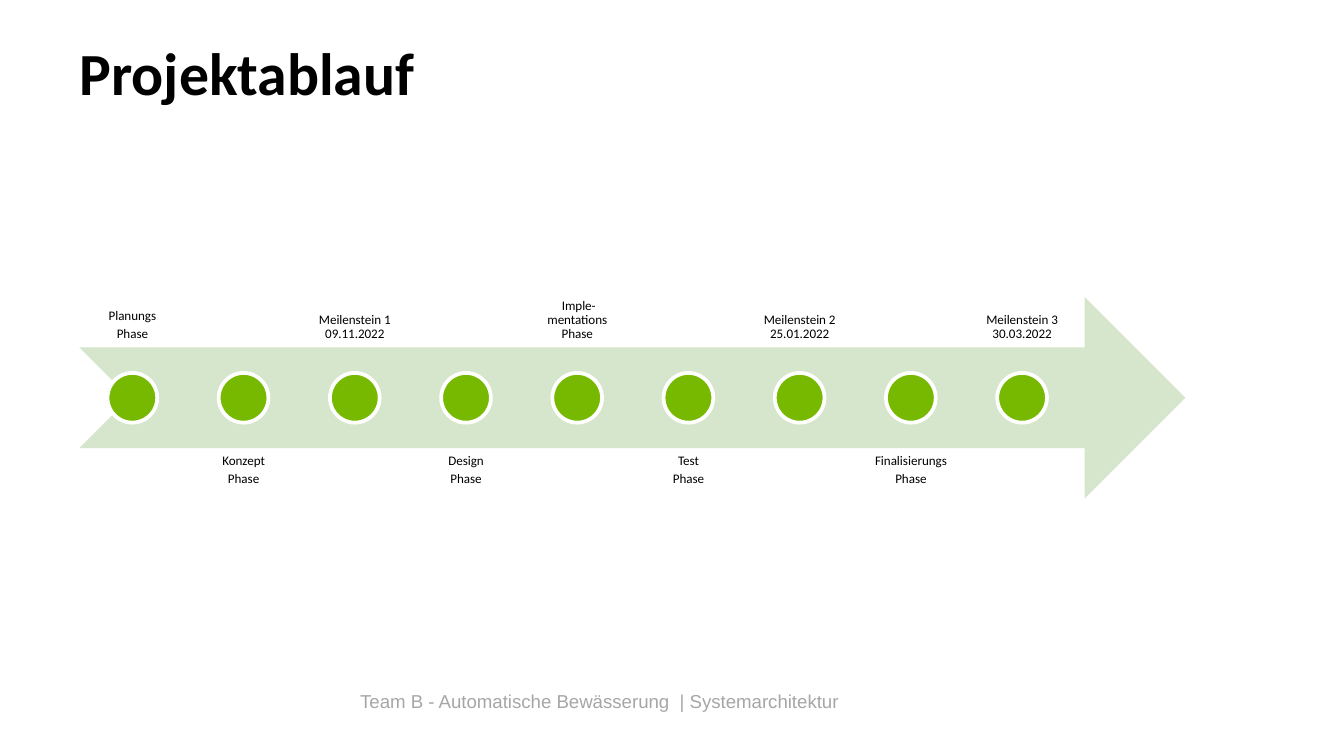
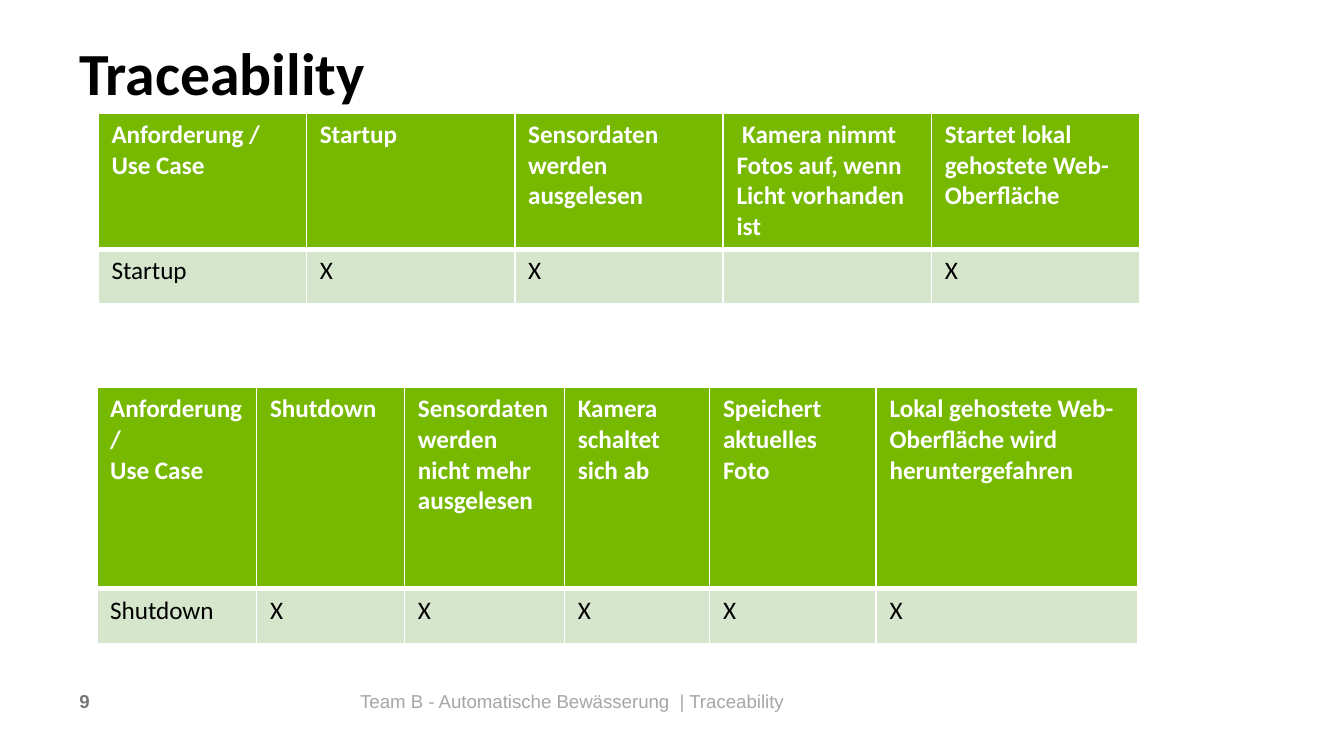
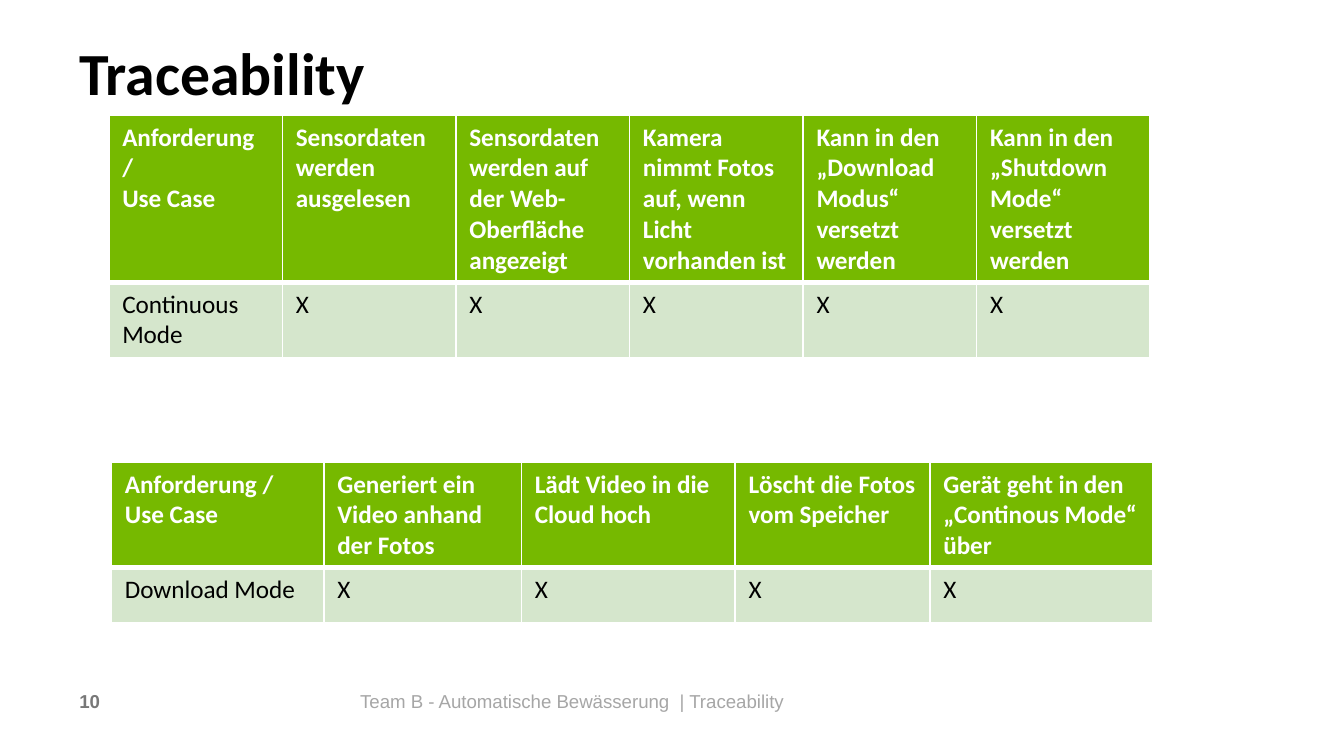
from lxml import etree
from pptx import Presentation
from pptx import util as u
from pptx.dml.color import RGBColor
from pptx.enum import shapes, text
from pptx.oxml import ns

WIDE = 10
HIGH = WIDE * 9 / 16
LEFT, SPAN = 0.59, 8.23
BLACK = RGBColor(0x00, 0x00, 0x00)
WHITE = RGBColor(0xFF, 0xFF, 0xFF)
GREEN = RGBColor(0x76, 0xB9, 0x00)
PALE = RGBColor(0xD6, 0xE6, 0xCC)
BAND = RGBColor(0xD5, 0xE6, 0xCC)
GREY = RGBColor(0xA6, 0xA6, 0xA6)
DARK = RGBColor(0x78, 0x78, 0x78)
TEAM = "Team B - Automatische Bewässerung  | "
HEAD = "Anforderung / \vUse Case"
ROW = 0.41
FULL = 7.75

STEPS = [
    "Planungs\nPhase", "Konzept\nPhase", "Meilenstein 1\v09.11.2022",
    "Design\nPhase", " Imple-mentations Phase", "Test\nPhase",
    "Meilenstein 2\v25.01.2022", "Finalisierungs\nPhase",
    "Meilenstein 3\v30.03.2022",
]
START = [
    [HEAD, "Startup", "Sensordaten werden ausgelesen",
     " Kamera nimmt Fotos auf, wenn Licht vorhanden ist",
     "Startet lokal gehostete Web-Oberfläche"],
    ["Startup", "X", "X", "", "X"],
]
STOP = [
    [HEAD, "Shutdown", "Sensordaten werden nicht mehr ausgelesen",
     "Kamera schaltet sich ab", "Speichert aktuelles Foto",
     "Lokal gehostete Web-Oberfläche wird heruntergefahren"],
    ["Shutdown"] + ["X"] * 5,
]
LOOP = [
    [HEAD, "Sensordaten werden ausgelesen",
     "Sensordaten werden auf der Web-Oberfläche angezeigt",
     "Kamera nimmt Fotos auf, wenn Licht vorhanden ist",
     "Kann in den „Download Modus“ versetzt werden",
     "Kann in den „Shutdown Mode“ versetzt werden"],
    ["Continuous Mode"] + ["X"] * 5,
]
LOAD = [
    [HEAD, "Generiert ein Video anhand der Fotos",
     "Lädt Video in die Cloud hoch", "Löscht die Fotos vom Speicher",
     "Gerät geht in den „Continous Mode“ über"],
    ["Download Mode"] + ["X"] * 4,
]


def box(*sides):
    return [u.Inches(side) for side in sides]


def style(frame, size, color, bold=False, font="Calibri"):
    for para in frame.paragraphs:
        for run in para.runs:
            run.font.name = font
            run.font.size = u.Pt(size)
            run.font.bold = bold
            run.font.color.rgb = color


def inset(frame, gap):
    frame.margin_left = frame.margin_right = u.Inches(gap)
    frame.margin_top = frame.margin_bottom = u.Inches(gap)
    frame.word_wrap = True
    frame.auto_size = text.MSO_AUTO_SIZE.NONE


def label(slide, words, place, gap=0):
    frame = slide.shapes.add_textbox(*box(*place)).text_frame
    inset(frame, gap)
    frame.text = words
    return frame


def page(deck, name, topic, number=""):
    slide = deck.slides.add_slide(deck.slide_layouts[5])
    title = slide.shapes.title
    title.left, title.top, title.width, title.height = box(LEFT, 0.33, SPAN, 0.48)
    frame = title.text_frame
    inset(frame, 0)
    frame.vertical_anchor = text.MSO_ANCHOR.TOP
    frame.text = name
    para = frame.paragraphs[0]
    para.alignment = text.PP_ALIGN.LEFT
    para.line_spacing = u.Pt(34)
    style(frame, 32, BLACK, True)
    style(label(slide, TEAM + topic, (2.68, 5.13, 6, 0.2)), 10, GREY, font="Arial")
    if number:
        foot = label(slide, number, (LEFT, 5.13, 1.89, 0.2))
        style(foot, 10, DARK, True, "Arial")
    return slide


def solid(slide, kind, place, color, edge=0):
    shape = slide.shapes.add_shape(kind, *box(*place))
    shape.shadow.inherit = False
    shape.fill.solid()
    shape.fill.fore_color.rgb = color
    if edge:
        shape.line.color.rgb = WHITE
        shape.line.width = u.Pt(edge)
    else:
        shape.line.fill.background()


def flow(slide, steps):
    top, tall, dot, wide = 2.21, 1.5, 0.37, 0.79
    pitch = (7.21 - LEFT) / (len(steps) - 1)
    kinds = shapes.MSO_SHAPE
    solid(slide, kinds.NOTCHED_RIGHT_ARROW, (LEFT, top, SPAN, tall), PALE)
    for num, step in enumerate(steps):
        left = LEFT + num * pitch
        above = num % 2 == 0
        frame = label(slide, step, (left, 1.09 if above else 3.33, wide, tall), 0.05)
        anchor = text.MSO_ANCHOR
        frame.vertical_anchor = anchor.BOTTOM if above else anchor.TOP
        for para in frame.paragraphs:
            para.alignment = text.PP_ALIGN.CENTER
            para.line_spacing = 0.9
            para.space_after = u.Pt(2.4)
        style(frame, 7, BLACK)
        mid = top + tall / 2
        solid(slide, kinds.OVAL, (left + (wide - dot) / 2, mid - dot / 2, dot, dot), GREEN, 2)


def border(cell, side, width):
    props = cell._tc.get_or_add_tcPr()
    line = etree.SubElement(props, ns.qn("a:ln" + side), w=str(u.Pt(width)))
    fill = etree.SubElement(line, ns.qn("a:solidFill"))
    etree.SubElement(fill, ns.qn("a:srgbClr"), val=str(WHITE))


def matrix(slide, rows, left, top, cols, head=ROW):
    place = box(left, top, sum(cols), head + ROW)
    table = slide.shapes.add_table(len(rows), len(cols), *place).table
    table.horz_banding = False
    for col, width in zip(table.columns, cols):
        col.width = u.Inches(width)
    for num, row in enumerate(rows):
        first = num == 0
        table.rows[num].height = u.Inches(head if first else ROW)
        for cell, words in zip(table.rows[num].cells, row):
            for side in "LRTB":
                thick = side == ("B" if first else "T")
                border(cell, side, 3 if thick else 0.96)
            cell.fill.solid()
            cell.fill.fore_color.rgb = GREEN if first else BAND
            cell.text_frame.text = words
            style(cell.text_frame, 13.5, WHITE if first else BLACK, first)


def main():
    deck = Presentation()
    deck.slide_width, deck.slide_height = box(WIDE, HIGH)
    flow(page(deck, "Projektablauf", "Systemarchitektur"), STEPS)
    slide = page(deck, "Traceability", "Traceability", "9")
    matrix(slide, START, 0.73, 0.84, [FULL / 5] * 5)
    matrix(slide, STOP, 0.72, 2.88, [1.19, 1.1, 1.19, 1.08, 1.24, 1.95], 1.5)
    slide = page(deck, "Traceability", "Traceability", "10")
    matrix(slide, LOOP, 0.81, 0.86, [FULL / 6] * 6)
    matrix(slide, LOAD, 0.83, 3.44, [1.58, 1.47, 1.59, 1.45, 1.66])
    deck.save("out.pptx")


if __name__ == "__main__":
    main()
